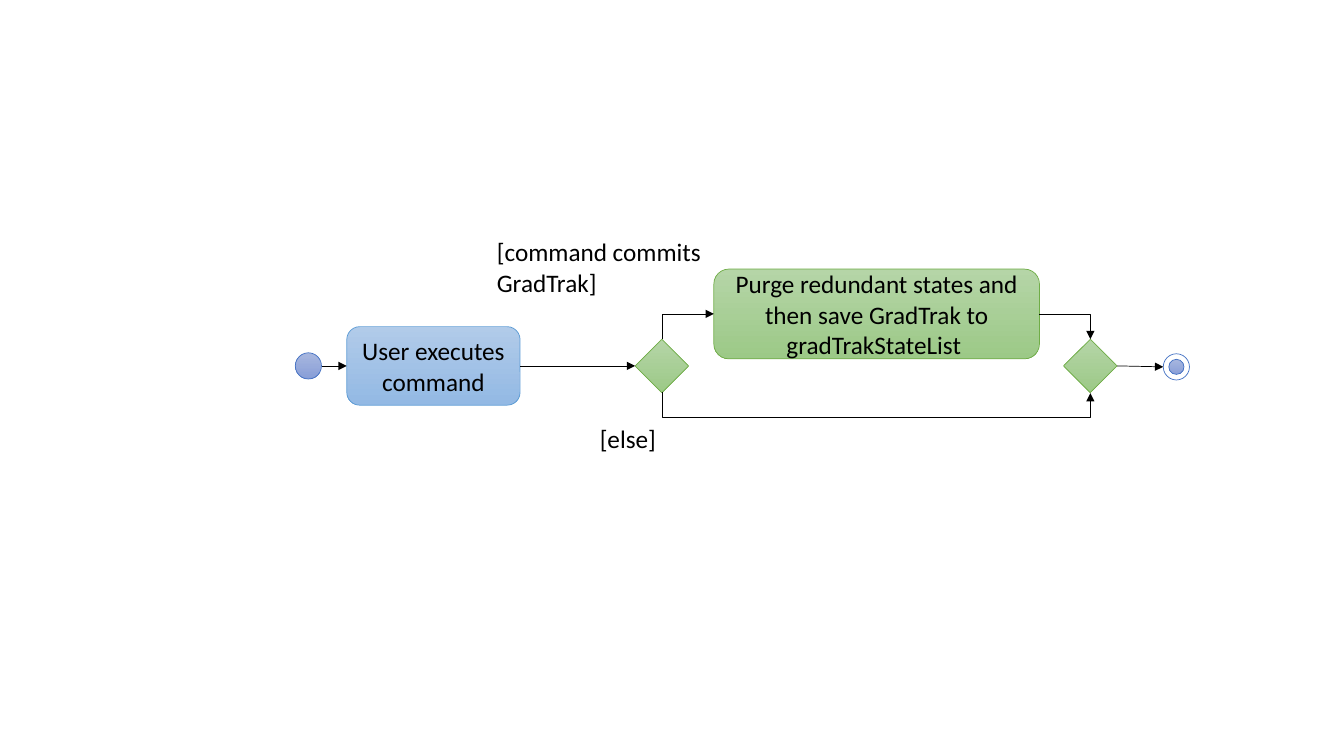
from dataclasses import dataclass

from pptx import Presentation
from pptx.dml.color import RGBColor
from pptx.enum.shapes import MSO_CONNECTOR, MSO_SHAPE
from pptx.enum.text import MSO_ANCHOR, PP_ALIGN
from pptx.oxml.ns import qn
from pptx.oxml.xmlchemy import OxmlElement
from pptx.util import Inches, Pt

ROUND, OVAL, GEM = MSO_SHAPE.ROUNDED_RECTANGLE, MSO_SHAPE.OVAL, MSO_SHAPE.DIAMOND
STRAIGHT, ELBOW = MSO_CONNECTOR.STRAIGHT, MSO_CONNECTOR.ELBOW
LEFT, CENTER = PP_ALIGN.LEFT, PP_ALIGN.CENTER
TOP, MIDDLE = MSO_ANCHOR.TOP, MSO_ANCHOR.MIDDLE
NORTH, WEST, SOUTH, EAST = range(4)

# Grid of 100 columns by 100 rows
WIDE, TALL = Inches(13.333), Inches(7.5)
COL, ROW = WIDE / 100, TALL / 100
AXIS = 48.4
THIN = Inches(0.01)
DROP = Inches(0.25)


@dataclass(frozen=True)
class Paint:
    line: str
    stops: tuple[str, ...]


@dataclass(frozen=True)
class Theme:
    font: str = "Calibri"
    size: float = 18
    stroke: float = 0.5
    ink: str = "000000"
    node: Paint = Paint("4472C4", ("A8B7DF", "889ED7"))
    ring: Paint = Paint("4472C4", ("FFFFFF",))
    blue: Paint = Paint("5B9BD5", ("B1CBE9", "93B9E4"))
    green: Paint = Paint("70AD47", ("B5D5A7", "9CC987"))


THEME = Theme()


@dataclass(frozen=True)
class Box:
    """Centre and size, in columns and rows."""
    x: float
    y: float
    w: float
    h: float

    def place(self) -> tuple[int, int, int, int]:
        return (round((self.x - self.w / 2) * COL), round((self.y - self.h / 2) * ROW),
                round(self.w * COL), round(self.h * ROW))


@dataclass(frozen=True)
class Node:
    name: str
    kind: int
    box: Box
    paint: Paint
    text: str = ""


@dataclass(frozen=True)
class Label:
    text: str
    box: Box


@dataclass(frozen=True)
class Bend:
    head: str
    out: int
    tail: str
    into: int
    form: str
    turn: int = 0
    flips: str = ""
    adj: int = 0


NODES = [
    Node("start", OVAL, Box(22.95, AXIS, 1.95, 3.47), THEME.node),
    Node("run", ROUND, Box(32.25, AXIS, 12.9, 10.4), THEME.blue, "User executes command"),
    Node("merge", GEM, Box(81.13, AXIS, 3.98, 7.07), THEME.green),
    Node("save", ROUND, Box(65.23, 41.53, 24.23, 11.87), THEME.green,
         "Purge redundant states and then save GradTrak to gradTrakStateList "),
    Node("split", GEM, Box(49.25, AXIS, 3.98, 7.07), THEME.green),
    Node("end", OVAL, Box(87.53, 48.53, 1.95, 3.47), THEME.ring),
    Node("core", OVAL, Box(87.53, 48.53, 1.13, 2), THEME.node),
]
LABELS = [
    Label("[else]", Box(47.38, 58, 6.98, 5.33)),
    Label("[command commits GradTrak]", Box(44.71, 35.4, 16.95, 9.47)),
]
STEPS = [("start", "run"), ("run", "split"), ("merge", "end")]
BENDS = [
    Bend("split", NORTH, "save", WEST, "bentConnector2", 90, "HV"),
    Bend("split", SOUTH, "merge", SOUTH, "bentConnector3", 270, "H",
         round(DROP / THIN * 100000)),
    Bend("save", EAST, "merge", NORTH, "bentConnector2"),
]


def write(shape, text: str, *, align=LEFT, anchor=TOP) -> None:
    frame = shape.text_frame
    frame.word_wrap = True
    frame.vertical_anchor = anchor
    para = frame.paragraphs[0]
    para.alignment = align
    run = para.add_run()
    run.text = text
    run.font.name, run.font.size = THEME.font, Pt(THEME.size)
    run.font.color.rgb = RGBColor.from_string(THEME.ink)


def draw(slide, node: Node):
    shape = slide.shapes.add_shape(node.kind, *node.box.place())
    shape.shadow.inherit = False
    shape.line.color.rgb = RGBColor.from_string(node.paint.line)
    shape.line.width = Pt(THEME.stroke)
    stops = node.paint.stops
    if len(stops) == 1:
        shape.fill.solid()
        shape.fill.fore_color.rgb = RGBColor.from_string(stops[0])
    else:
        shape.fill.gradient()
        shape.fill.gradient_angle = 270
        for stop, tint in zip(shape.fill.gradient_stops, stops):
            stop.color.rgb = RGBColor.from_string(tint)
    if node.text:
        write(shape, node.text, align=CENTER, anchor=MIDDLE)
    return shape


def arrow(slide, kind, ends: tuple[int, int, int, int]):
    link = slide.shapes.add_connector(kind, *ends)
    link.line.color.rgb = RGBColor.from_string(THEME.ink)
    link.line.width = Pt(THEME.stroke)
    tip = OxmlElement("a:tailEnd")
    tip.set("type", "triangle")
    link.line._get_or_add_ln().append(tip)
    link._element.spPr.append(OxmlElement("a:effectLst"))
    return link


def step(slide, head, tail) -> None:
    ends = (head.left + head.width, head.top + head.height // 2,
            tail.left, tail.top + tail.height // 2)
    link = arrow(slide, STRAIGHT, ends)
    # Ovals number their joints differently, so only boxes and diamonds are joined
    if head.auto_shape_type != OVAL:
        link.begin_connect(head, EAST)
    if tail.auto_shape_type != OVAL:
        link.end_connect(tail, WEST)


def bend(slide, item: Bend, parts: dict) -> None:
    link = arrow(slide, ELBOW, (0, 0, 0, 0))
    link.begin_connect(parts[item.head], item.out)
    link.end_connect(parts[item.tail], item.into)
    # Frame of the elbow before it is turned about its centre
    mid_x = (link.begin_x + link.end_x) // 2
    mid_y = (link.begin_y + link.end_y) // 2
    wide, high = abs(link.end_x - link.begin_x), abs(link.end_y - link.begin_y)
    if item.turn:
        wide, high = max(high, THIN), wide
    link.left, link.top = mid_x - wide // 2, mid_y - high // 2
    link.width, link.height = wide, high
    frame = link._element.spPr.find(qn("a:xfrm"))
    frame.set("rot", str(item.turn * 60000))
    for side in "HV":
        frame.set(f"flip{side}", str(int(side in item.flips)))
    shape = link._element.spPr.find(qn("a:prstGeom"))
    shape.set("prst", item.form)
    if item.adj:
        guide = OxmlElement("a:gd")
        guide.set("name", "adj1")
        guide.set("fmla", f"val {item.adj}")
        shape.find(qn("a:avLst")).append(guide)


def main() -> None:
    deck = Presentation()
    deck.slide_width, deck.slide_height = WIDE, TALL
    slide = deck.slides.add_slide(deck.slide_layouts[6])

    # Nodes and guard labels
    parts = {node.name: draw(slide, node) for node in NODES}
    for label in LABELS:
        write(slide.shapes.add_textbox(*label.box.place()), label.text)

    # Flow arrows
    for head, tail in STEPS:
        step(slide, parts[head], parts[tail])
    for item in BENDS:
        bend(slide, item, parts)

    deck.save("out.pptx")


if __name__ == "__main__":
    main()
